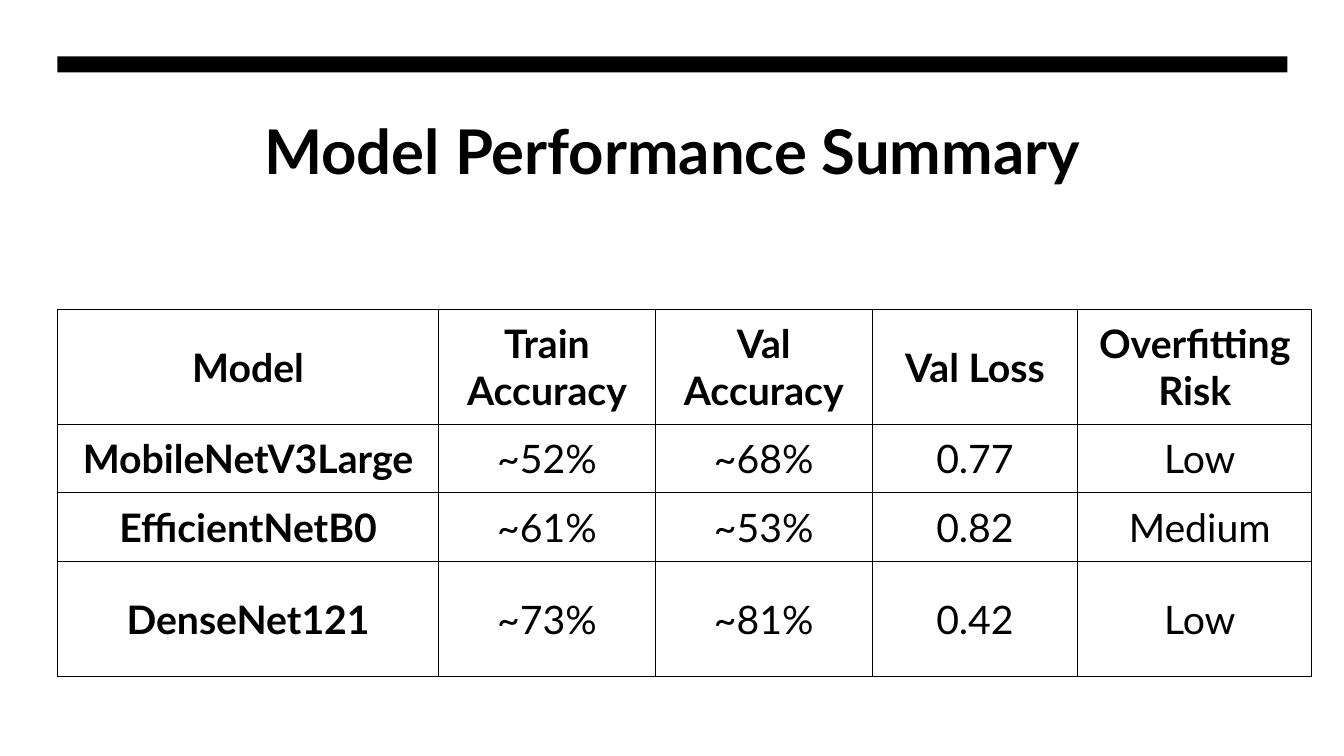
from lxml import etree
from pptx import Presentation
from pptx.dml.color import RGBColor
from pptx.enum.shapes import MSO_SHAPE
from pptx.enum.text import MSO_ANCHOR, PP_ALIGN
from pptx.oxml.ns import qn
from pptx.util import Inches, Pt

RECTANGLE = MSO_SHAPE.RECTANGLE
TOP, MIDDLE = MSO_ANCHOR.TOP, MSO_ANCHOR.MIDDLE
CENTER = PP_ALIGN.CENTER

BLACK = RGBColor(0x00, 0x00, 0x00)
WHITE = RGBColor(0xFF, 0xFF, 0xFF)
FONT = "Lato"

SLIDE_WIDTH, SLIDE_HEIGHT = 13.33, 7.5
MARGIN = 0.57
CONTENT_WIDTH = 12.2

COLUMN_WIDTHS = [3.78, 2.15, 2.15, 2.04, 2.32]
ROW_HEIGHTS = [1.14, 0.68, 0.68, 1.14]
RESULTS = [
    ["Model", "Train Accuracy", "Val Accuracy", "Val Loss", "Overfitting Risk"],
    ["MobileNetV3Large", "~52%", "~68%", "0.77", " Low"],
    ["EfficientNetB0", "~61%", "~53%", "0.82", " Medium"],
    ["DenseNet121", "~73%", "~81%", "0.42", " Low"],
]


def write(frame, text, size, bold):
    """Put one centred run into the first paragraph of a text frame."""
    paragraph = frame.paragraphs[0]
    paragraph.alignment = CENTER
    run = paragraph.add_run()
    run.text = text
    run.font.name = FONT
    run.font.size = Pt(size)
    run.font.bold = bold
    run.font.color.rgb = BLACK


def add_top_bar(slide, left, top, width, height):
    bar = slide.shapes.add_shape(
        RECTANGLE, Inches(left), Inches(top), Inches(width), Inches(height))
    bar.shadow.inherit = False
    bar.fill.solid()
    bar.fill.fore_color.rgb = BLACK
    bar.line.fill.background()


def place_title(slide, left, top, width, height):
    title = slide.shapes.title
    title.left, title.top = Inches(left), Inches(top)
    title.width, title.height = Inches(width), Inches(height)
    title.text_frame.word_wrap = True
    title.text_frame.vertical_anchor = TOP
    write(title.text_frame, "Model Performance Summary", 44, True)


def add_borders(cell):
    properties = cell._tc.get_or_add_tcPr()
    for side in ("a:lnL", "a:lnR", "a:lnT", "a:lnB"):
        line = etree.SubElement(properties, qn(side), w=str(Pt(1)))
        fill = etree.SubElement(line, qn("a:solidFill"))
        etree.SubElement(fill, qn("a:srgbClr"), val=str(BLACK))


def format_cell(cell, text, bold):
    cell.margin_left = cell.margin_right = Inches(0.15)
    cell.margin_top = cell.margin_bottom = Inches(0.08)
    cell.vertical_anchor = MIDDLE
    add_borders(cell)
    cell.fill.background()
    write(cell.text_frame, text, 28, bold)


def add_results_table(slide, left, top):
    table = slide.shapes.add_table(
        len(ROW_HEIGHTS), len(COLUMN_WIDTHS), Inches(left), Inches(top),
        Inches(sum(COLUMN_WIDTHS)), Inches(sum(ROW_HEIGHTS))).table
    table.horz_banding = False
    for column, width in zip(table.columns, COLUMN_WIDTHS):
        column.width = Inches(width)
    for row, height in zip(table.rows, ROW_HEIGHTS):
        row.height = Inches(height)
    # Header row and model names are bold
    for r, values in enumerate(RESULTS):
        for c, value in enumerate(values):
            format_cell(table.cell(r, c), value, r == 0 or c == 0)


def build_summary_slide(deck):
    slide = deck.slides.add_slide(deck.slide_layouts[5])
    slide.background.fill.solid()
    slide.background.fill.fore_color.rgb = WHITE
    place_title(slide, MARGIN, 1.07, CONTENT_WIDTH, 1.6)
    add_top_bar(slide, MARGIN, 0.56, CONTENT_WIDTH, 0.16)
    add_results_table(slide, MARGIN, 3.07)


def main():
    deck = Presentation()
    deck.slide_width = Inches(SLIDE_WIDTH)
    deck.slide_height = Inches(SLIDE_HEIGHT)
    build_summary_slide(deck)
    deck.save("out.pptx")


if __name__ == "__main__":
    main()
